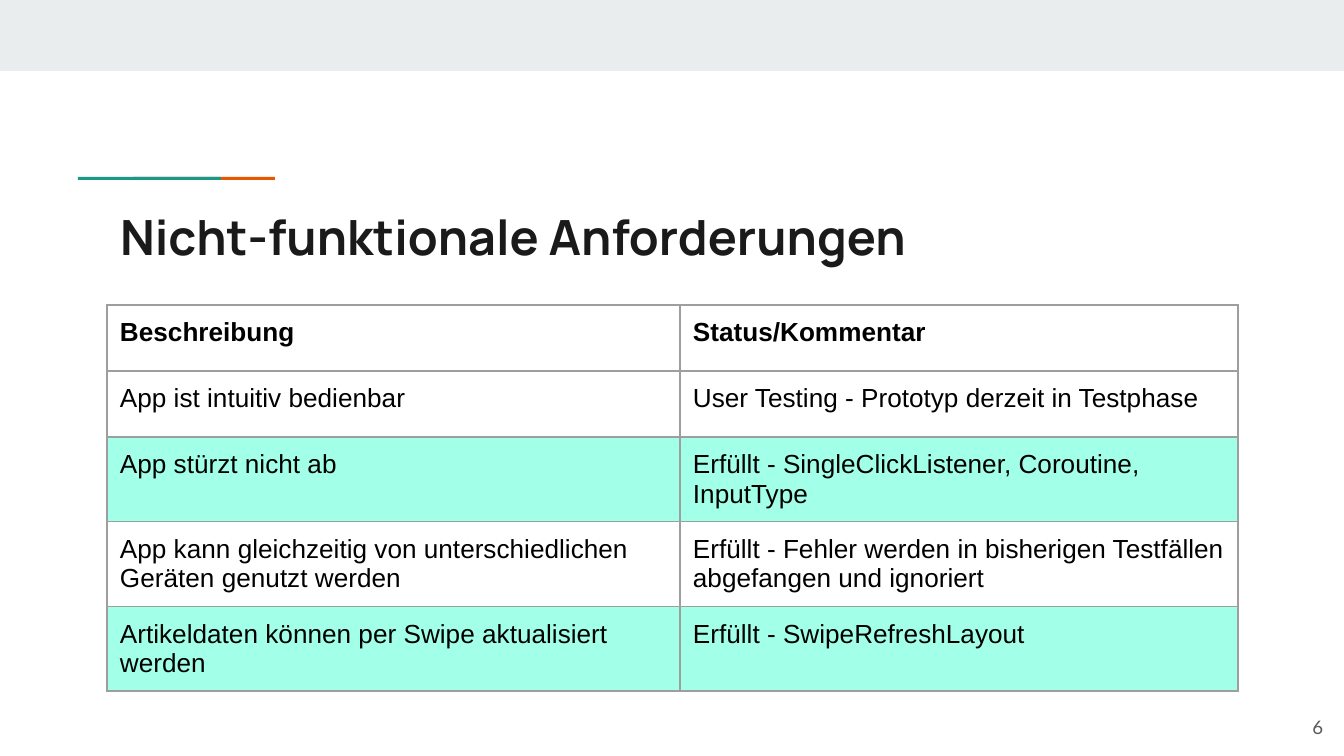
from lxml.etree import SubElement
from pptx import Presentation
from pptx.dml.color import RGBColor
from pptx.enum.shapes import MSO_SHAPE as Shape
from pptx.enum.text import MSO_ANCHOR as Anchor, MSO_AUTO_SIZE as AutoSize, PP_ALIGN as Align
from pptx.oxml.ns import qn
from pptx.util import Emu, Pt

PX_PER_INCH = 134.4
INSET = 13
MINT = "A2FFE8"

# Each row: description, status, fill
ROWS = [
    ("Beschreibung", "Status/Kommentar", None),
    ("App ist intuitiv bedienbar",
     "User Testing - Prototyp derzeit in Testphase", None),
    ("App stürzt nicht ab",
     "Erfüllt - SingleClickListener, Coroutine, InputType", MINT),
    ("App kann gleichzeitig von unterschiedlichen Geräten genutzt werden",
     "Erfüllt - Fehler werden in bisherigen Testfällen abgefangen und ignoriert", None),
    ("Artikeldaten können per Swipe aktualisiert werden",
     "Erfüllt - SwipeRefreshLayout", MINT),
]


def px(length):
    return Emu(round(length * 914400 / PX_PER_INCH))


def color(code):
    return RGBColor.from_string(code)


def set_insets(target):
    target.margin_left = target.margin_right = px(INSET)
    target.margin_top = target.margin_bottom = px(INSET)


def add_span(para, text, font, size, code, bold=False):
    span = para.add_run()
    span.text = text
    span.font.name = font
    span.font.size = Pt(size)
    span.font.bold = bold
    span.font.color.rgb = color(code)


def add_bar(page, left, top, width, height, code):
    bar = page.shapes.add_shape(Shape.RECTANGLE, px(left), px(top), px(width), px(height))
    bar.shadow.inherit = False
    bar.fill.solid()
    bar.fill.fore_color.rgb = color(code)
    bar.line.fill.background()


def add_title(page, text):
    title = page.shapes.title
    title.left, title.top, title.width, title.height = px(107), px(194), px(1130), px(79)
    frame = title.text_frame
    frame.auto_size = AutoSize.NONE
    frame.word_wrap = True
    frame.vertical_anchor = Anchor.TOP
    set_insets(frame)
    para = frame.paragraphs[0]
    para.alignment = Align.LEFT
    add_span(para, text, "Manrope", 26, "1A1A1A", bold=True)


def add_borders(cell, code, width):
    properties = cell._tc.get_or_add_tcPr()
    for side in ("a:lnL", "a:lnR", "a:lnT", "a:lnB"):
        line = SubElement(properties, qn(side), w=str(Pt(width)))
        fill = SubElement(line, qn("a:solidFill"))
        SubElement(fill, qn("a:srgbClr"), val=code)


def fill_cell(cell, text, fill, bold):
    set_insets(cell)
    add_borders(cell, "9E9E9E", 0.75)
    if fill:
        cell.fill.solid()
        cell.fill.fore_color.rgb = color(fill)
    else:
        cell.fill.background()
    add_span(cell.text_frame.paragraphs[0], text, "Arial", 14, "000000", bold)


def add_requirements(page, left, top, widths, row_height):
    frame = page.shapes.add_table(len(ROWS), len(widths), px(left), px(top),
                                  px(sum(widths)), px(row_height * len(ROWS)))
    table = frame.table
    table.first_row = table.horz_banding = False
    for column, width in zip(table.columns, widths):
        column.width = px(width)
    for index, (*texts, fill) in enumerate(ROWS):
        table.rows[index].height = px(row_height)
        for cell, text in zip(table.rows[index].cells, texts):
            fill_cell(cell, text, fill, bold=index == 0)


def add_page_number(page, text):
    box = page.shapes.add_textbox(px(1255), px(698), px(81), px(58))
    frame = box.text_frame
    frame.word_wrap = True
    frame.vertical_anchor = Anchor.MIDDLE
    set_insets(frame)
    para = frame.paragraphs[0]
    para.alignment = Align.RIGHT
    add_span(para, text, "Lato", 10, "595959")


def main():
    deck = Presentation()
    deck.slide_width, deck.slide_height = px(1344), px(756)
    page = deck.slides.add_slide(deck.slide_layouts[5])

    # Header band and two-colour accent line
    add_bar(page, 0, 0, 1344, 71, "E9EDEE")
    add_bar(page, 133, 177, 142, 3, "EB5600")
    add_bar(page, 78, 177, 143, 3, "1A9988")

    # Content
    add_title(page, "Nicht-funktionale Anforderungen")
    add_requirements(page, 107, 305, (573, 558), 66)
    add_page_number(page, "6")

    deck.save("out.pptx")


if __name__ == "__main__":
    main()
